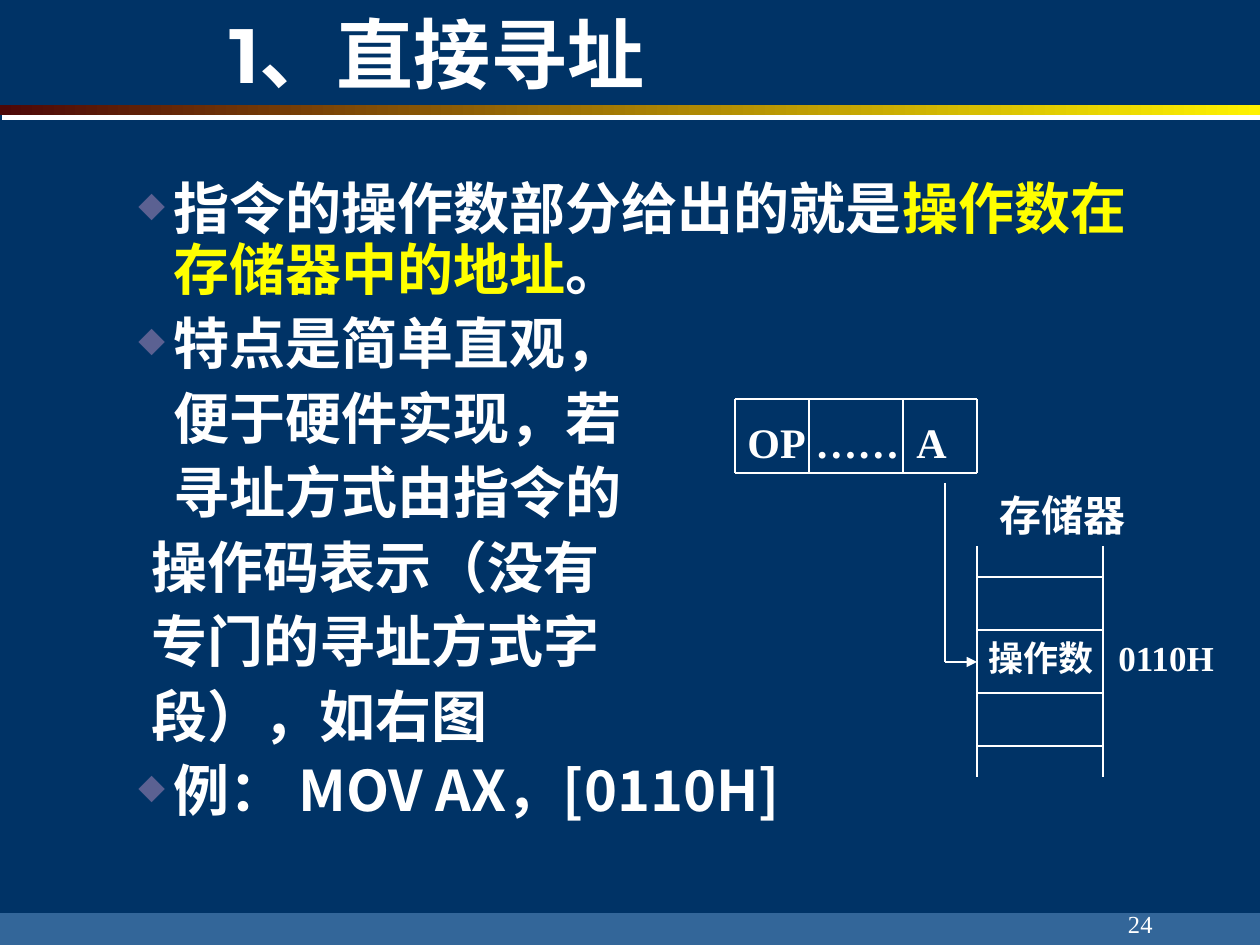
from lxml.etree import SubElement
from pptx import Presentation
from pptx.dml.color import RGBColor
from pptx.enum.shapes import MSO_CONNECTOR, MSO_SHAPE
from pptx.enum.text import MSO_ANCHOR, PP_ALIGN
from pptx.oxml.ns import qn
from pptx.util import Pt

EMU_PER_INCH = 914400
PX_PER_INCH = 126
COLORS = {
    "background": "003366", "footer": "336699", "white": "FFFFFF",
    "yellow": "FFFF00", "bullet": "5B6192", "bar_start": "4D0808", "bar_end": "FFF200",
}
CJK = "Noto Sans CJK SC"
SERIF = "Times New Roman"
BULLET_INDENT = 35


def px(n):
    return round(n * EMU_PER_INCH / PX_PER_INCH)


def rgb(name):
    return RGBColor.from_string(COLORS[name])


def add_xml(parent, tag, **attrs):
    return SubElement(parent, qn(tag), {k: str(v) for k, v in attrs.items()})


class SlideBuilder:
    def __init__(self, prs):
        self.s = prs.slides.add_slide(prs.slide_layouts[6])
        fill = self.s.background.fill
        fill.solid()
        fill.fore_color.rgb = rgb("background")

    def rect(self, x, y, w, h, color):
        sp = self.s.shapes.add_shape(MSO_SHAPE.RECTANGLE, px(x), px(y), px(w), px(h))
        sp.shadow.inherit = False
        sp.line.fill.background()
        sp.fill.solid()
        sp.fill.fore_color.rgb = rgb(color)
        return sp

    def gradient_bar(self, x, y, w, h, start, end):
        sp = self.rect(x, y, w, h, start)
        sp.fill.gradient()
        sp.fill.gradient_angle = 0
        for stop, color, at in zip(sp.fill.gradient_stops, (start, end), (0, 1)):
            stop.color.rgb = rgb(color)
            stop.position = at
        effects = sp._element.spPr.find(qn("a:effectLst"))
        shadow = add_xml(effects, "a:outerShdw", dist=Pt(3.2), dir=72 * 60000,
                         algn="ctr", rotWithShape=0)
        add_xml(shadow, "a:srgbClr", val=COLORS["white"])

    def line(self, x1, y1, x2, y2, arrow=False):
        c = self.s.shapes.add_connector(MSO_CONNECTOR.STRAIGHT, px(x1), px(y1), px(x2), px(y2))
        c.line.color.rgb = rgb("white")
        c.line.width = Pt(0.75)
        if arrow:
            add_xml(c.line._get_or_add_ln(), "a:tailEnd", type="triangle")
        add_xml(c._element.spPr, "a:effectLst")

    def text_box(self, x, y, w, h, **frame):
        tf = self.s.shapes.add_textbox(px(x), px(y), px(w), px(h)).text_frame
        for name, value in {"word_wrap": True, **frame}.items():
            setattr(tf, name, value)
        return tf

    def paragraph(self, p, runs, size, font, bold=True, margin=0, bullet=False, **fmt):
        for name, value in fmt.items():
            setattr(p, name, value)
        pPr = p._p.get_or_add_pPr()
        pPr.set("marL", str(px(margin)))
        pPr.set("indent", str(px(-BULLET_INDENT if bullet else 0)))
        if bullet:
            add_xml(add_xml(pPr, "a:buClr"), "a:srgbClr", val=COLORS["bullet"])
            add_xml(pPr, "a:buSzPct", val=62000)
            add_xml(pPr, "a:buChar", char="◆")
        else:
            add_xml(pPr, "a:buNone")
        for text, color in runs:
            r = p.add_run()
            r.text = text
            for name, value in {"size": Pt(size), "name": font, "bold": bold}.items():
                setattr(r.font, name, value)
            r.font.color.rgb = rgb(color)
            add_xml(r._r.get_or_add_rPr(), "a:ea", typeface=CJK)

    def label(self, x, y, w, h, text, size, font=SERIF, frame=None, **fmt):
        tf = self.text_box(x, y, w, h, **(frame or {}))
        self.paragraph(tf.paragraphs[0], [(text, "white")], size, font, **fmt)

    def body(self, x, y, w, h, items):
        tf = self.text_box(x, y, w, h)
        for i, (margin, bullet, runs) in enumerate(items):
            p = tf.add_paragraph() if i else tf.paragraphs[0]
            self.paragraph(p, runs, 32, CJK, margin=margin, bullet=bullet,
                           line_spacing=0.9, space_before=Pt(8))


def draw_instruction(b):
    top, bottom = 399, 473
    columns = (735, 809, 903, 977)
    for x in columns:
        b.line(x, top, x, bottom)
    for y in (top, bottom):
        b.line(columns[0], y, columns[-1], y)
    for x, w, text in ((735, 94, "OP"), (803, 126, "……"), (904, 73, "A")):
        b.label(x, 410, w, 63, text, 24, space_before=Pt(15))


def draw_memory(b):
    left, right = 977, 1103
    for x in (left, right):
        b.line(x, 546, x, 777)
    for y in (577, 630, 693, 746):
        b.line(left, y, right, y)
    b.label(987, 483, 158, 63, "存储器", 24, space_before=Pt(15))
    for x, w, text in ((976, 136, "操作数"), (1106, 126, "0110H")):
        b.label(x, 630, w, 55, text, 20, space_before=Pt(12.5))
    b.line(945, 483, 945, 662)
    b.line(945, 662, left, 662, arrow=True)


def main():
    prs = Presentation()
    prs.slide_width, prs.slide_height = px(1260), px(945)
    b = SlideBuilder(prs)
    b.rect(0, 913, 1260, 32, "footer")
    b.gradient_bar(0, 105, 1260, 10, "bar_start", "bar_end")
    b.label(95, 0, 684, 108, "1、直接寻址", 44, "Montserrat", alignment=PP_ALIGN.CENTER)
    b.body(113, 175, 1081, 662, [
        (48, True, [("指令的操作数部分给出的就是", "white"),
                    ("操作数在存储器中的地址", "yellow"), ("。", "white")]),
        (48, True, [("特点是简单直观，", "white")]),
        (48, False, [("便于硬件实现，若", "white")]),
        (48, False, [("寻址方式由指令的", "white")]),
        (26, False, [("操作码表示（没有", "white")]),
        (26, False, [("专门的寻址方式字", "white")]),
        (26, False, [("段），如右图", "white")]),
        (48, True, [("例： MOV AX，[0110H]", "white")]),
    ])
    draw_instruction(b)
    draw_memory(b)
    b.label(903, 882, 262, 63, "24", 14, bold=False, alignment=PP_ALIGN.RIGHT,
            frame={"vertical_anchor": MSO_ANCHOR.BOTTOM, "word_wrap": False})
    prs.save("out.pptx")


if __name__ == "__main__":
    main()
